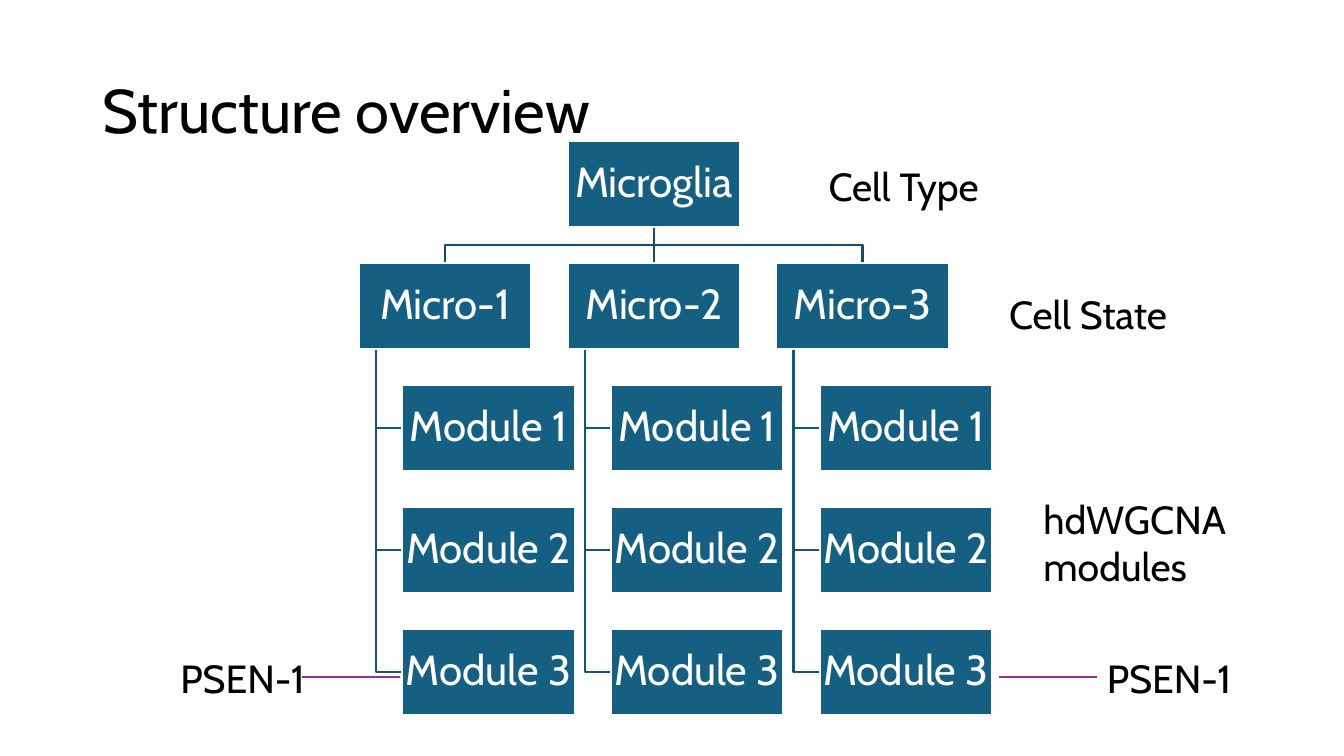
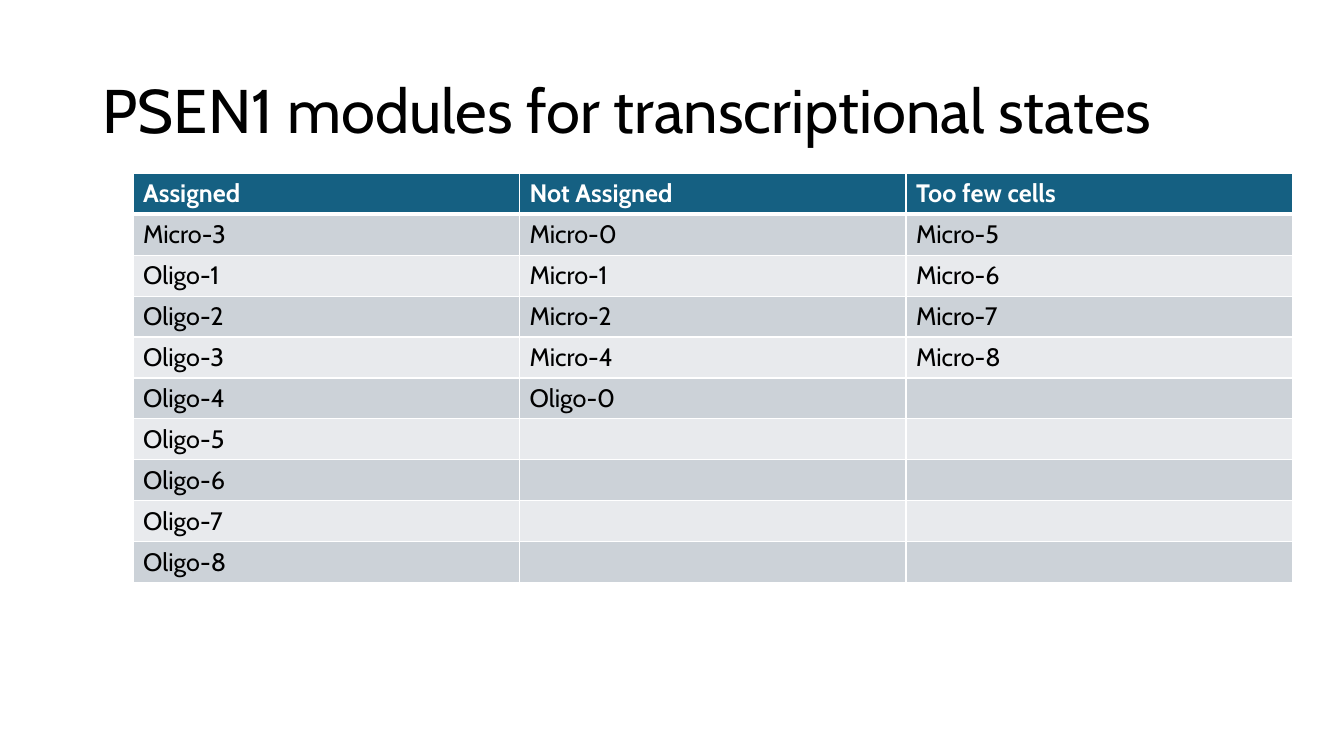
from dataclasses import dataclass
from itertools import zip_longest
from typing import Any

import pptx
import pptx.dml.color
import pptx.enum.dml
import pptx.enum.shapes
import pptx.enum.text
import pptx.oxml
import pptx.oxml.ns
import pptx.util

Inches = pptx.util.Inches
Pt = pptx.util.Pt
RGBColor = pptx.dml.color.RGBColor
MIDDLE = pptx.enum.text.MSO_ANCHOR.MIDDLE
CENTER = pptx.enum.text.PP_ALIGN.CENTER

FONT = "Cabin"
BLACK = RGBColor(0x00, 0x00, 0x00)
WHITE = RGBColor(0xFF, 0xFF, 0xFF)
TEAL = RGBColor(0x15, 0x60, 0x82)
TYPE_BRANCH = RGBColor(0x11, 0x4D, 0x68)
STATE_BRANCH = RGBColor(0x13, 0x57, 0x76)
PURPLE = RGBColor(0xA0, 0x2B, 0x93)
ROW_SHADES = (RGBColor(0xCC, 0xD2, 0xD8), RGBColor(0xE8, 0xEA, 0xED))

TITLE_FONT = {"name": FONT, "size": Pt(44)}
LABEL_FONT = {"name": FONT, "size": Pt(28)}
NODE_FONT = {"name": FONT, "size": Pt(30)}
HEADER_FONT = {"name": FONT, "size": Pt(18), "bold": True}
BODY_FONT = {"name": FONT, "size": Pt(18), "bold": False}
NODE_FRAME = {
    "word_wrap": False,
    "vertical_anchor": MIDDLE,
    "margin_left": Inches(0.02),
    "margin_right": Inches(0.02),
    "margin_top": Inches(0.02),
    "margin_bottom": Inches(0.02),
}
NODE_PARAGRAPH = {"alignment": CENTER, "line_spacing": 0.9}

NODE_WIDTH, NODE_HEIGHT = 1.71, 0.85
TREE_LEFT, TREE_TOP = 3.56, 1.4
COLUMN_STEP, LEVEL_STEP = 2.07, 1.21
SPINE_INDENT, MODULE_INDENT = 0.17, 0.43
STATES = ("Micro-1", "Micro-2", "Micro-3")
MODULES = ("Module 1", "Module 2", "Module 3")

ASSIGNMENTS = {
    "Assigned": ["Micro-3", *(f"Oligo-{n}" for n in range(1, 9))],
    "Not Assigned": ["Micro-0", "Micro-1", "Micro-2", "Micro-4", "Oligo-0"],
    "Too few cells": [f"Micro-{n}" for n in range(5, 9)],
}


@dataclass(frozen=True)
class Label:
    text: str
    left: float
    top: float
    width: float = 2.12
    height: float = 0.57


@dataclass(frozen=True)
class Node:
    text: str
    left: float
    top: float

    @property
    def center(self) -> float:
        return self.left + NODE_WIDTH / 2

    @property
    def middle(self) -> float:
        return self.top + NODE_HEIGHT / 2

    @property
    def bottom(self) -> float:
        return self.top + NODE_HEIGHT


LABELS = (
    Label("Cell Type", 8.12, 1.56),
    Label("Cell State", 9.91, 2.83),
    Label("hdWGCNA modules", 10.25, 4.86, height=1.04),
    Label("PSEN-1", 1.69, 6.44, 1.48),
    Label("PSEN-1", 10.88, 6.44, 1.48),
)
GENE_LINES = ((3.0, 3.97), (9.91, 10.88))
GENE_LINE_TOP = 6.72


def apply_format(target: Any, values: dict[str, Any]) -> None:
    for attribute, value in values.items():
        setattr(target, attribute, value)


def write(frame: Any, text: str, font: dict[str, Any], color: RGBColor) -> None:
    run = frame.paragraphs[0].add_run()
    run.text = text
    apply_format(run.font, font)
    run.font.color.rgb = color


def add_label(slide: Any, label: Label, font: dict[str, Any] = LABEL_FONT) -> Any:
    frame = slide.shapes.add_textbox(
        Inches(label.left), Inches(label.top), Inches(label.width), Inches(label.height)
    ).text_frame
    frame.word_wrap = True
    write(frame, label.text, font, BLACK)
    return frame


def add_titled_slide(deck: Any, title: str) -> Any:
    slide = deck.slides.add_slide(deck.slide_layouts[6])
    frame = add_label(slide, Label(title, 0.92, 0.4, 11.5, 1.45), TITLE_FONT)
    frame.vertical_anchor = MIDDLE
    frame.paragraphs[0].line_spacing = 0.9
    return slide


def add_line(
    slide: Any, start: tuple[float, float], end: tuple[float, float], color: RGBColor
) -> None:
    line = slide.shapes.add_connector(
        pptx.enum.shapes.MSO_CONNECTOR.STRAIGHT, *map(Inches, (*start, *end))
    )
    line.line.color.rgb = color
    line.line.width = Pt(1.5)
    properties = line._element.spPr
    properties.append(properties.makeelement(pptx.oxml.ns.qn("a:effectLst"), {}))


def add_branch(slide: Any, points: list[tuple[float, float]], color: RGBColor) -> None:
    start, *turns = [(Inches(x), Inches(y)) for x, y in points]
    builder = slide.shapes.build_freeform(*start)
    builder.add_line_segments(turns, close=False)
    branch = builder.convert_to_shape()
    branch.shadow.inherit = False
    branch.fill.background()
    branch.line.color.rgb = color
    branch.line.width = Pt(1.5)


def add_node(slide: Any, node: Node) -> None:
    box = slide.shapes.add_shape(
        pptx.enum.shapes.MSO_SHAPE.RECTANGLE,
        *map(Inches, (node.left, node.top, NODE_WIDTH, NODE_HEIGHT)),
    )
    box.shadow.inherit = False
    box.fill.solid()
    box.fill.fore_color.rgb = TEAL
    box.line.color.rgb = WHITE
    box.line.width = Pt(1.5)
    apply_format(box.text_frame, NODE_FRAME)
    apply_format(box.text_frame.paragraphs[0], NODE_PARAGRAPH)
    write(box.text_frame, node.text, NODE_FONT, WHITE)


def add_tree(slide: Any) -> None:
    root = Node("Microglia", TREE_LEFT + COLUMN_STEP, TREE_TOP)
    nodes = [root]
    for column, state_name in enumerate(STATES):
        state = Node(
            state_name, TREE_LEFT + column * COLUMN_STEP, TREE_TOP + LEVEL_STEP
        )
        nodes.append(state)
        if state.left == root.left:
            add_line(
                slide, (root.center, root.bottom), (root.center, state.top), TYPE_BRANCH
            )
        else:
            bend = (root.bottom + state.top) / 2
            add_branch(
                slide,
                [
                    (root.center, root.bottom),
                    (root.center, bend),
                    (state.center, bend),
                    (state.center, state.top),
                ],
                TYPE_BRANCH,
            )
        spine = state.left + SPINE_INDENT
        for level, module_name in enumerate(MODULES, start=1):
            module = Node(
                module_name,
                state.left + MODULE_INDENT,
                state.top + level * LEVEL_STEP,
            )
            nodes.append(module)
            add_branch(
                slide,
                [
                    (spine, state.bottom),
                    (spine, module.middle),
                    (module.left, module.middle),
                ],
                STATE_BRANCH,
            )
    for node in nodes:
        add_node(slide, node)


def set_borders(cell: Any, top: float, bottom: float) -> None:
    properties = cell._tc.get_or_add_tcPr()
    widths = {"lnL": 1, "lnR": 1, "lnT": top, "lnB": bottom}
    for position, (side, width) in enumerate(widths.items()):
        border = pptx.oxml.parse_xml(
            f'<a:{side} {pptx.oxml.ns.nsdecls("a")} w="{Pt(width)}">'
            f'<a:solidFill><a:srgbClr val="{WHITE}"/></a:solidFill></a:{side}>'
        )
        properties.insert(position, border)


def add_assignment_table(slide: Any) -> None:
    rows = [tuple(ASSIGNMENTS), *zip_longest(*ASSIGNMENTS.values(), fillvalue="")]
    table = slide.shapes.add_table(
        len(rows),
        len(ASSIGNMENTS),
        *map(Inches, (1.32, 1.72, 11.5, 4.06)),
    ).table
    for row_index, states in enumerate(rows):
        is_header = row_index == 0
        for column, state in enumerate(states):
            cell = table.cell(row_index, column)
            cell.fill.solid()
            cell.fill.fore_color.rgb = (
                TEAL if is_header else ROW_SHADES[(row_index - 1) % 2]
            )
            set_borders(
                cell, top=3 if row_index == 1 else 1, bottom=3 if is_header else 1
            )
            if state:
                write(
                    cell.text_frame,
                    state,
                    HEADER_FONT if is_header else BODY_FONT,
                    WHITE if is_header else BLACK,
                )


def main() -> None:
    deck = pptx.Presentation()
    apply_format(deck, {"slide_width": Inches(13.33), "slide_height": Inches(7.5)})

    overview = add_titled_slide(deck, "Structure overview")
    add_tree(overview)
    for label in LABELS:
        add_label(overview, label)
    for left, right in GENE_LINES:
        add_line(overview, (left, GENE_LINE_TOP), (right, GENE_LINE_TOP), PURPLE)

    assignment = add_titled_slide(deck, "PSEN1 modules for transcriptional states")
    add_assignment_table(assignment)

    deck.save("out.pptx")


if __name__ == "__main__":
    main()
